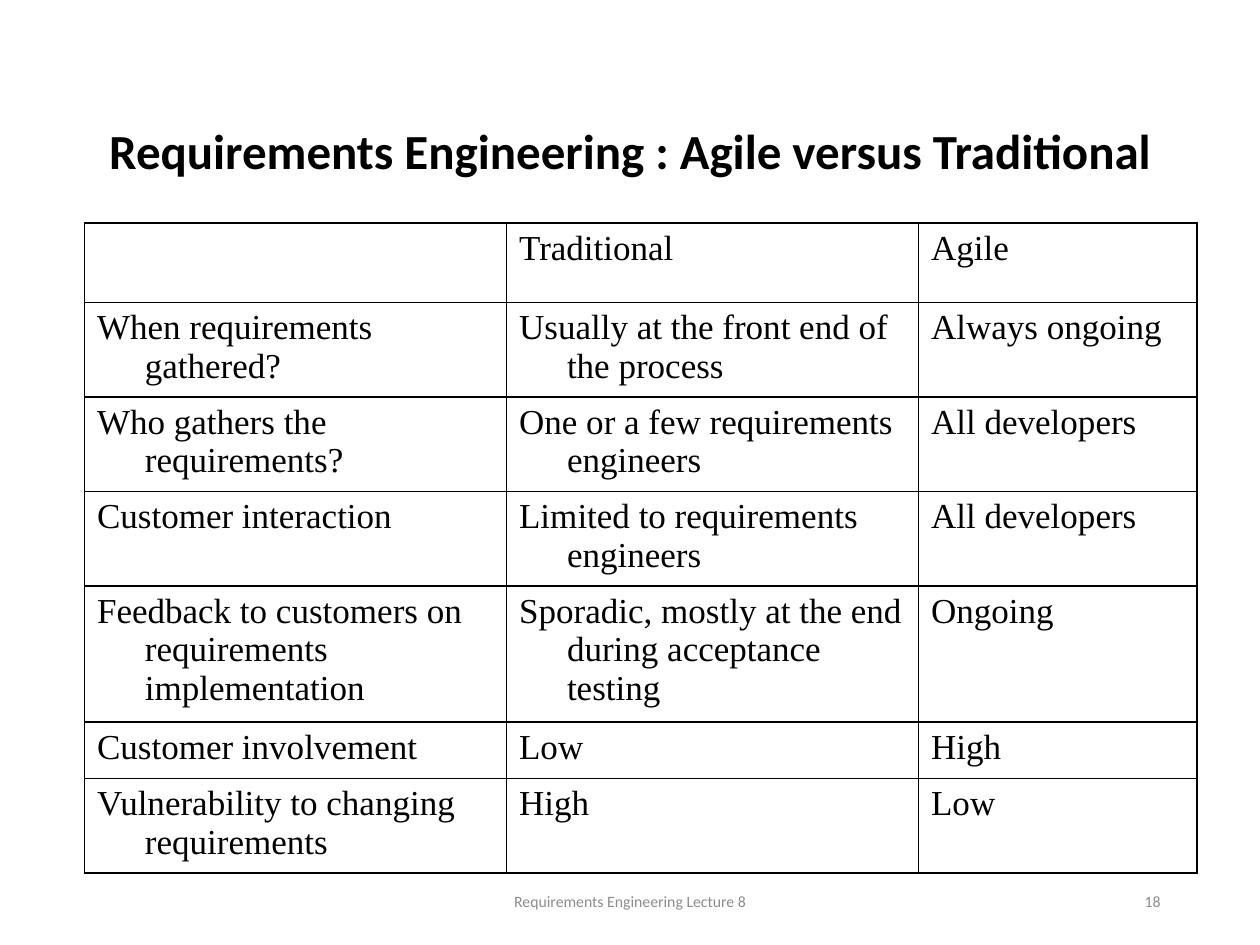
import dataclasses
import pptx
import pptx.util
import pptx.dml.color
import pptx.enum.text
import pptx.oxml.ns
import lxml.etree

Pt = pptx.util.Pt
Align = pptx.enum.text.PP_ALIGN
HUES = {"ink": "000000", "gray": "8C8C8C"}

deck = pptx.Presentation()
deck.slide_width = pptx.util.Inches(10)
deck.slide_height = pptx.util.Inches(7.5)
slide = deck.slides.add_slide(deck.slide_layouts[6])


@dataclasses.dataclass
class Label:
    text: str
    left: float
    top: float
    width: float
    height: float
    style: dict


def across(share: float) -> int:
    return round(deck.slide_width * share / 100)


def down(share: float) -> int:
    return round(deck.slide_height * share / 100)


def write(frame, text: str, *, size: float, font: str = "Calibri", hue: str = "ink",
          bold: bool = False, align=Align.LEFT, line=None, before: float = 0,
          indent: float = 0) -> None:
    frame.word_wrap = True
    para = frame.paragraphs[0]
    para.alignment = align
    para.line_spacing = line
    para.space_before = Pt(before)
    if indent:
        props = para._p.get_or_add_pPr()
        props.set("marL", str(pptx.util.Inches(indent)))
        props.set("indent", str(-pptx.util.Inches(indent)))
    run = para.add_run()
    run.text = text
    run.font.size = Pt(size)
    run.font.name = font
    run.font.bold = bold
    run.font.color.rgb = pptx.dml.color.RGBColor.from_string(HUES[hue])


def place(label: Label) -> None:
    box = slide.shapes.add_textbox(across(label.left), down(label.top),
                                   across(label.width), down(label.height))
    box.text_frame.vertical_anchor = pptx.enum.text.MSO_ANCHOR.MIDDLE
    write(box.text_frame, label.text, **label.style)


def border(cell, width: float) -> None:
    props = cell._tc.get_or_add_tcPr()
    for spot, side in enumerate(("lnL", "lnR", "lnT", "lnB")):
        line = lxml.etree.Element(pptx.oxml.ns.qn(f"a:{side}"), w=str(Pt(width)))
        fill = lxml.etree.SubElement(line, pptx.oxml.ns.qn("a:solidFill"))
        lxml.etree.SubElement(fill, pptx.oxml.ns.qn("a:srgbClr"), val=HUES["ink"])
        props.insert(spot, line)


def tabulate(rows: list, wide: list, high: list, left: float, top: float) -> None:
    grid = slide.shapes.add_table(len(rows), len(wide), across(left), down(top),
                                  across(sum(wide)), down(sum(high))).table
    grid.first_row = grid.horz_banding = False
    for col, share in zip(grid.columns, wide):
        col.width = across(share)
    for row, share, texts in zip(grid.rows, high, rows):
        row.height = down(share)
        for cell, text in zip(row.cells, texts):
            cell.fill.background()
            border(cell, 1)
            if text:
                write(cell.text_frame, text, size=20, font="Times New Roman",
                      line=Pt(22), before=2, indent=0.38)


SMALL = {"size": 9, "hue": "gray"}
LABELS = [
    Label("Requirements Engineering Lecture 8", 33.1, 92.67, 33.8, 5.33,
          {**SMALL, "align": Align.CENTER}),
    Label("18", 70.6, 92.67, 22.5, 5.33, {**SMALL, "align": Align.RIGHT}),
    Label("Requirements Engineering : Agile versus Traditional", 5, 7.87, 90, 16.67,
          {"size": 28, "bold": True, "align": Align.CENTER, "line": 0.9}),
]
ROWS = [
    ("", "Traditional", "Agile"),
    ("When requirements gathered?", "Usually at the front end of the process",
     "Always ongoing"),
    ("Who gathers the requirements?", "One or a few requirements engineers",
     "All developers"),
    ("Customer interaction", "Limited to requirements engineers", "All developers"),
    ("Feedback to customers on requirements implementation",
     "Sporadic, mostly at the end during acceptance testing", "Ongoing"),
    ("Customer involvement", "Low", "High"),
    ("Vulnerability to changing requirements", "High", "Low"),
]

for label in LABELS:
    place(label)
tabulate(ROWS, [33.5, 32.7, 22.1], [8.4, 10, 10, 10, 14.4, 6, 10], 6.7, 23.6)
deck.save("out.pptx")
